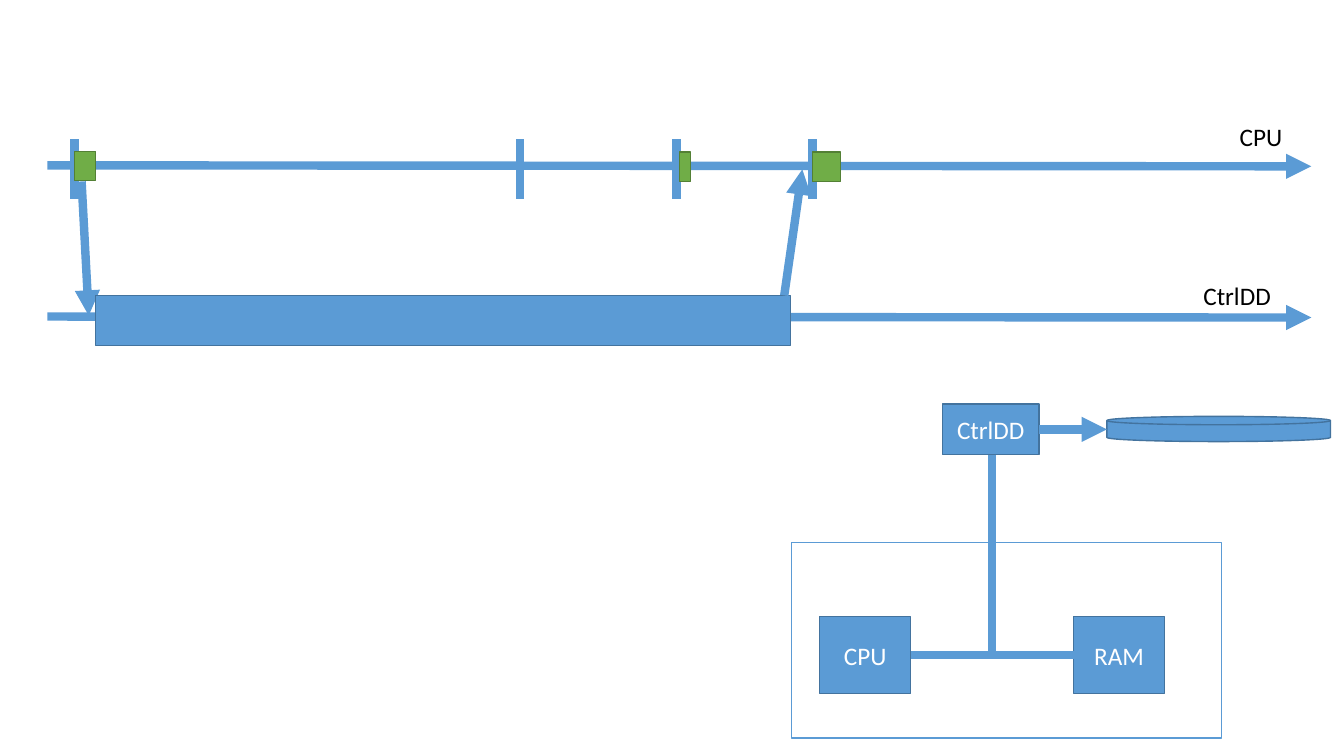
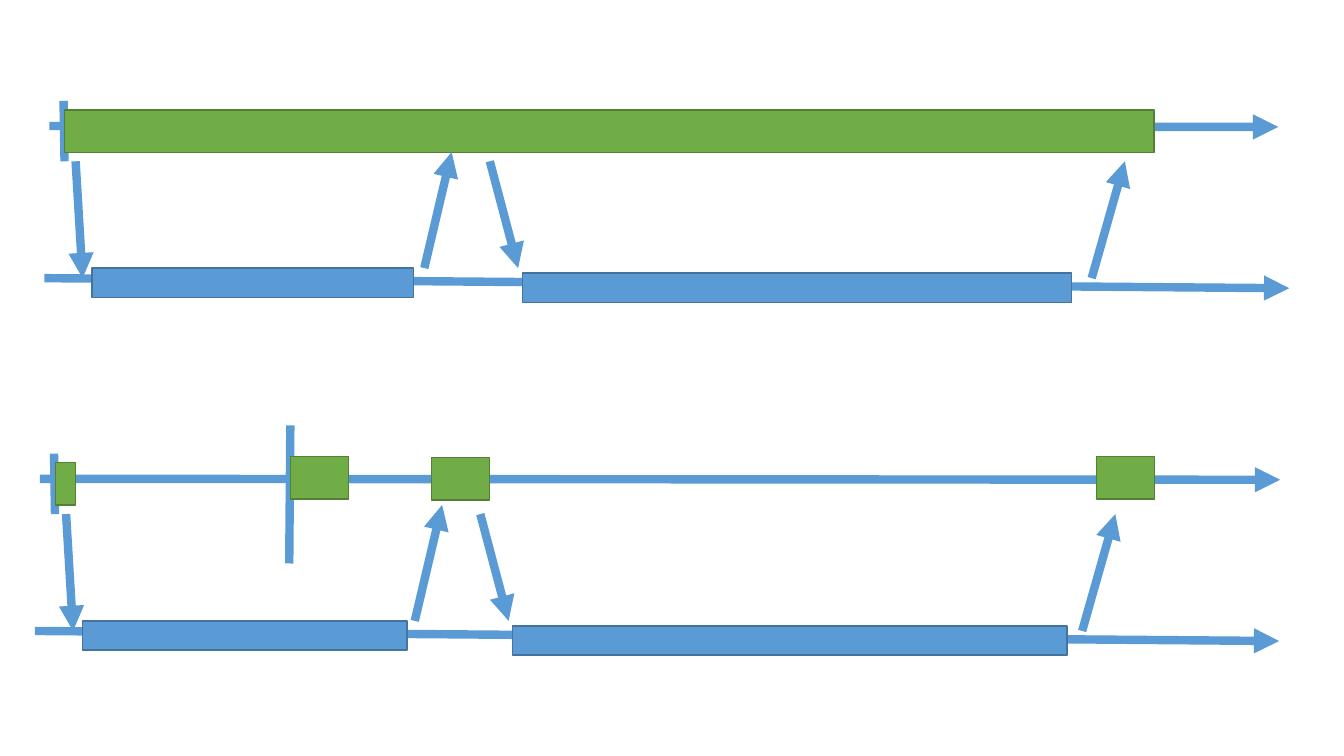
from pptx import Presentation
from pptx.dml.color import RGBColor
from pptx.enum import shapes, text
from pptx.oxml.ns import qn
from pptx.util import Pt
from lxml import etree

rgb = RGBColor.from_string
BLUE, BLUE_EDGE = "5B9BD5", "43739E"
GREEN, GREEN_EDGE = "70AD47", "538035"
WHITE, BLACK = "FFFFFF", "000000"
FONT, FONT_SIZE = "Calibri", 18
RECT = shapes.MSO_SHAPE.RECTANGLE


def add_box(slide, area, fill=BLUE, edge=BLUE_EDGE, label="", preset=RECT):
    box = slide.shapes.add_shape(preset, *map(Pt, area))
    box.shadow.inherit = False
    box.fill.solid()
    box.fill.fore_color.rgb = rgb(fill)
    box.line.color.rgb = rgb(edge)
    box.line.width = Pt(1)
    if label:
        box.text_frame.text = label
        box.text_frame.vertical_anchor = text.MSO_ANCHOR.MIDDLE
        paragraph = box.text_frame.paragraphs[0]
        paragraph.alignment = text.PP_ALIGN.CENTER
        font = paragraph.runs[0].font
        font.name, font.size = FONT, Pt(FONT_SIZE)
        font.color.rgb = rgb(WHITE)


def add_line(slide, ends, arrow=False):
    line = slide.shapes.add_connector(
        shapes.MSO_CONNECTOR.STRAIGHT, *map(Pt, ends))
    line.line.color.rgb = rgb(BLUE)
    line.line.width = Pt(6)
    if arrow:
        head = etree.SubElement(line.line._get_or_add_ln(), qn("a:tailEnd"))
        head.set("type", "triangle")
    etree.SubElement(line._element.spPr, qn("a:effectLst"))


deck = Presentation()
deck.slide_width, deck.slide_height = Pt(960), Pt(540)
blank = deck.slide_layouts[6]

# Slide 1: one disk transfer, with the machine below
transfer = deck.slides.add_slide(blank)

# Time axes and their names
for name, y, left, top, width in (("CPU", 118.1, 878.4, 82.8, 45.4),
                                  ("CtrlDD", 226.1, 852.5, 196.9, 63.4)):
    add_line(transfer, (33.8, y, 936.7, y + 0.7), arrow=True)
    axis_name = transfer.shapes.add_textbox(
        Pt(left), Pt(top), Pt(width), Pt(29))
    axis_name.text_frame.word_wrap = False
    axis_name.text_frame.text = name
    name_font = axis_name.text_frame.paragraphs[0].runs[0].font
    name_font.name, name_font.size = FONT, Pt(FONT_SIZE)
    name_font.color.rgb = rgb(BLACK)

# Events and CPU work
for tick_x in (53.3, 371.5, 483.1, 580.3):
    add_line(transfer, (tick_x, 99.4, tick_x, 141.8))
for left, top, width in ((53.3, 108, 15.1), (485.3, 108.7, 7.9),
                         (580.3, 108.7, 20.2)):
    add_box(transfer, (left, top, width, 20.9), GREEN, GREEN_EDGE)

# Request, controller work, interrupt
add_line(transfer, (58.3, 129.6, 63.4, 225.4), arrow=True)
add_box(transfer, (68.4, 211, 496.1, 36))
add_line(transfer, (560.2, 211, 573.1, 121), arrow=True)

# Machine: CPU and RAM on a bus, controller and disk outside
add_box(transfer, (565.2, 387.4, 307.4, 139.7), WHITE, BLUE)
for name, left in (("CPU", 585.4), ("RAM", 766.8)):
    add_box(transfer, (left, 440.6, 65.2, 54.7), label=name)
add_line(transfer, (650.6, 468, 766.8, 468))
add_line(transfer, (708.5, 468, 708.5, 324.7))
add_box(transfer, (673.2, 288.7, 69.1, 36), label="CtrlDD")
add_box(transfer, (790.6, 297.4, 159.8, 18),
        preset=shapes.MSO_SHAPE.FLOWCHART_MAGNETIC_DISK)
add_line(transfer, (742.3, 306.7, 790.6, 306.7), arrow=True)

# Slide 2: busy CPU above, CPU released during transfers below
comparison = deck.slides.add_slide(blank)
exchanges = ((54, 115.2, 59, 198.7), (303.1, 191.5, 322.6, 108.7),
             (349.9, 115.2, 370.1, 191.5), (779.8, 198.7, 803.5, 115.2))

# Shift, axis ends, controller widths, extra event, CPU work
scenarios = (
    (0, 0, (913, 920.9), (229.7, 392.4), None,
     ((46.1, 78.5, 778.3),)),
    (-6.8, 252, (914.4, 913.7), (231.8, 396), (207.4, 303.8, 206.6, 402.5),
     ((39.6, 330.5, 14.4), (207.4, 326.2, 41.4), (308.2, 326.9, 41.4),
      (783.4, 326.2, 41.4))),
)
for dx, dy, axis_ends, transfer_widths, extra_event, cpu_work in scenarios:
    for y, drop, end in zip((90, 198.7), (0.7, 7.2), axis_ends):
        add_line(comparison, (35.3 + dx if y == 90 else 31.7 + dx, y + dy,
                              end, y + drop + dy), arrow=True)
    add_line(comparison, (45.4 + dx, 72 + dy, 46.1 + dx, 115.2 + dy))
    if extra_event:
        add_line(comparison, extra_event)
    for left, top, width in cpu_work:
        add_box(comparison, (left, top, width, 30.4), GREEN, GREEN_EDGE)
    for x1, y1, x2, y2 in exchanges:
        add_line(comparison, (x1 + dx, y1 + dy, x2 + dx, y2 + dy), arrow=True)
    for left, top, width in zip((65.8, 373), (191.5, 195.1), transfer_widths):
        add_box(comparison, (left + dx, top + dy, width, 20.9))

deck.save("out.pptx")
